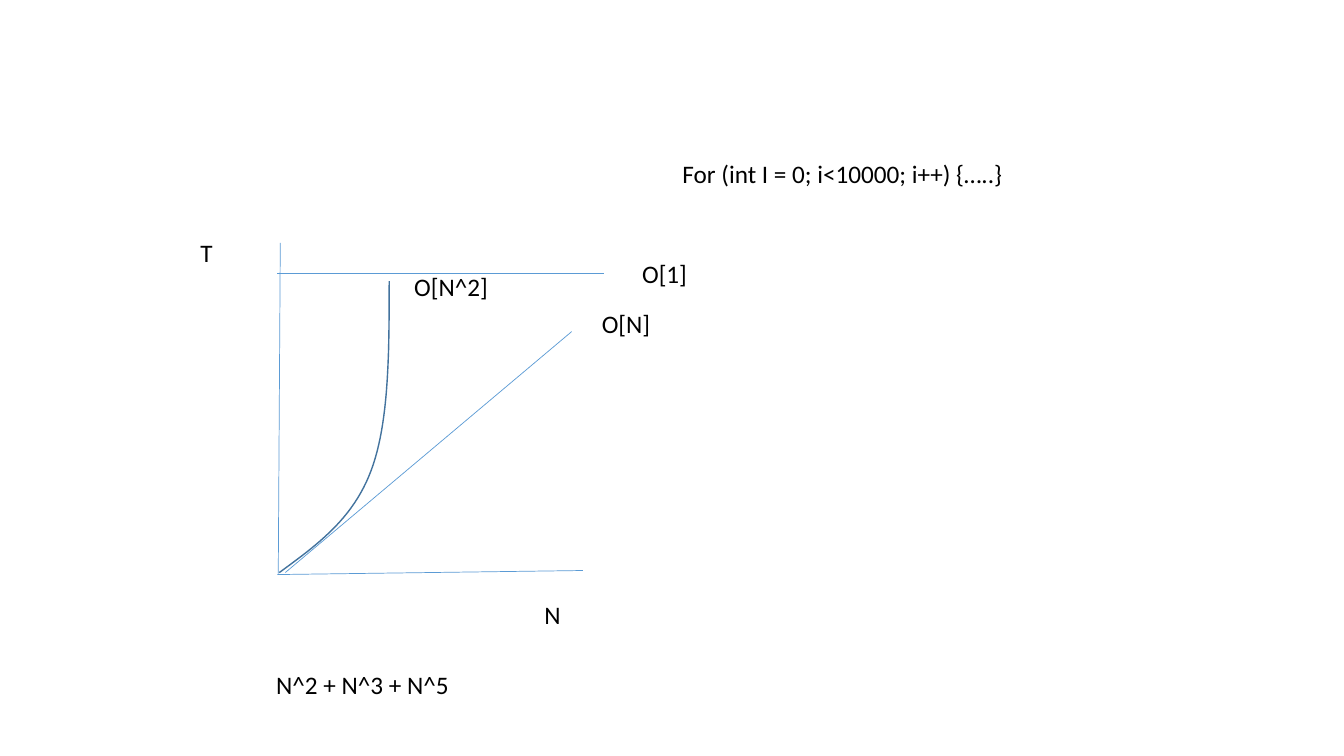
"""Build a slide sketching how running time T grows with input size N."""
from lxml.etree import SubElement
from pptx import Presentation
from pptx.dml.color import RGBColor as RGB
from pptx.enum.shapes import MSO_CONNECTOR as Connector
from pptx.enum.text import MSO_AUTO_SIZE as AutoSize
from pptx.oxml.ns import qn
from pptx.util import Inches, Pt

THEME = {
    "font": {"name": "Calibri", "size": Pt(18)},
    "text": RGB.from_string("000000"),
    "line": RGB.from_string("5B9BD5"),
    "curve": RGB.from_string("43739E"),
    "line_width": Pt(0.5),
    "curve_width": Pt(1),
}
FRAME = {"word_wrap": True, "auto_size": AutoSize.SHAPE_TO_FIT_TEXT}
LABEL_HEIGHT = 0.4
LABELS = [
    ("T", 1.89, 2.31, 0.86),
    ("N", 5.3, 5.9, 0.86),
    ("O[1]", 6.27, 2.51, 0.79),
    ("O[N]", 5.87, 3.01, 0.79),
    ("O[N^2]", 4.01, 2.64, 1.06),
    ("For (int I = 0; i<10000; i++) {…..}", 6.67, 1.52, 5.72),
    ("N^2 + N^3 + N^5", 2.64, 6.59, 7.13),
]
LINES = {
    "time axis": (2.78, 2.41, 2.76, 5.69),
    "size axis": (5.78, 5.66, 2.75, 5.7),
    "constant": (2.75, 2.71, 5.99, 2.71),
    "linear": (2.83, 5.68, 5.67, 3.29),
}
QUADRATIC = [
    [(2.77, 5.68), (3.14, 5.41), (3.5, 5.15), (3.68, 4.67)],
    [(3.68, 4.67), (3.86, 4.19), (3.86, 3.49), (3.86, 2.79)],
]
STEPS = 24


def apply(target, values):
    for key, value in values.items():
        setattr(target, key, value)


def bezier(controls, t):
    weights = ((1 - t) ** 3, 3 * t * (1 - t) ** 2, 3 * t**2 * (1 - t), t**3)
    return tuple(
        Inches(sum(w * c for w, c in zip(weights, axis))) for axis in zip(*controls)
    )


def add_label(slide, text, left, top, width):
    box = slide.shapes.add_textbox(*map(Inches, (left, top, width, LABEL_HEIGHT)))
    apply(box.text_frame, FRAME)
    run = box.text_frame.paragraphs[0].add_run()
    run.text = text
    apply(run.font, THEME["font"])
    run.font.color.rgb = THEME["text"]


def add_line(slide, ends):
    line = slide.shapes.add_connector(Connector.STRAIGHT, *map(Inches, ends))
    line.line.color.rgb = THEME["line"]
    line.line.width = THEME["line_width"]
    SubElement(line._element.spPr, qn("a:effectLst"))


def add_curve(slide, segments):
    start = bezier(segments[0], 0)
    points = [bezier(s, i / STEPS) for s in segments for i in range(1, STEPS + 1)]
    builder = slide.shapes.build_freeform(*start)
    builder.add_line_segments(points, close=False)
    curve = builder.convert_to_shape()
    curve.shadow.inherit = False
    curve.fill.background()
    curve.line.color.rgb = THEME["curve"]
    curve.line.width = THEME["curve_width"]


def main():
    deck = Presentation()
    apply(deck, {"slide_width": Inches(13.33), "slide_height": Inches(7.5)})
    slide = deck.slides.add_slide(deck.slide_layouts[6])
    for ends in LINES.values():
        add_line(slide, ends)
    add_curve(slide, QUADRATIC)
    for label in LABELS:
        add_label(slide, *label)
    deck.save("out.pptx")


if __name__ == "__main__":
    main()
